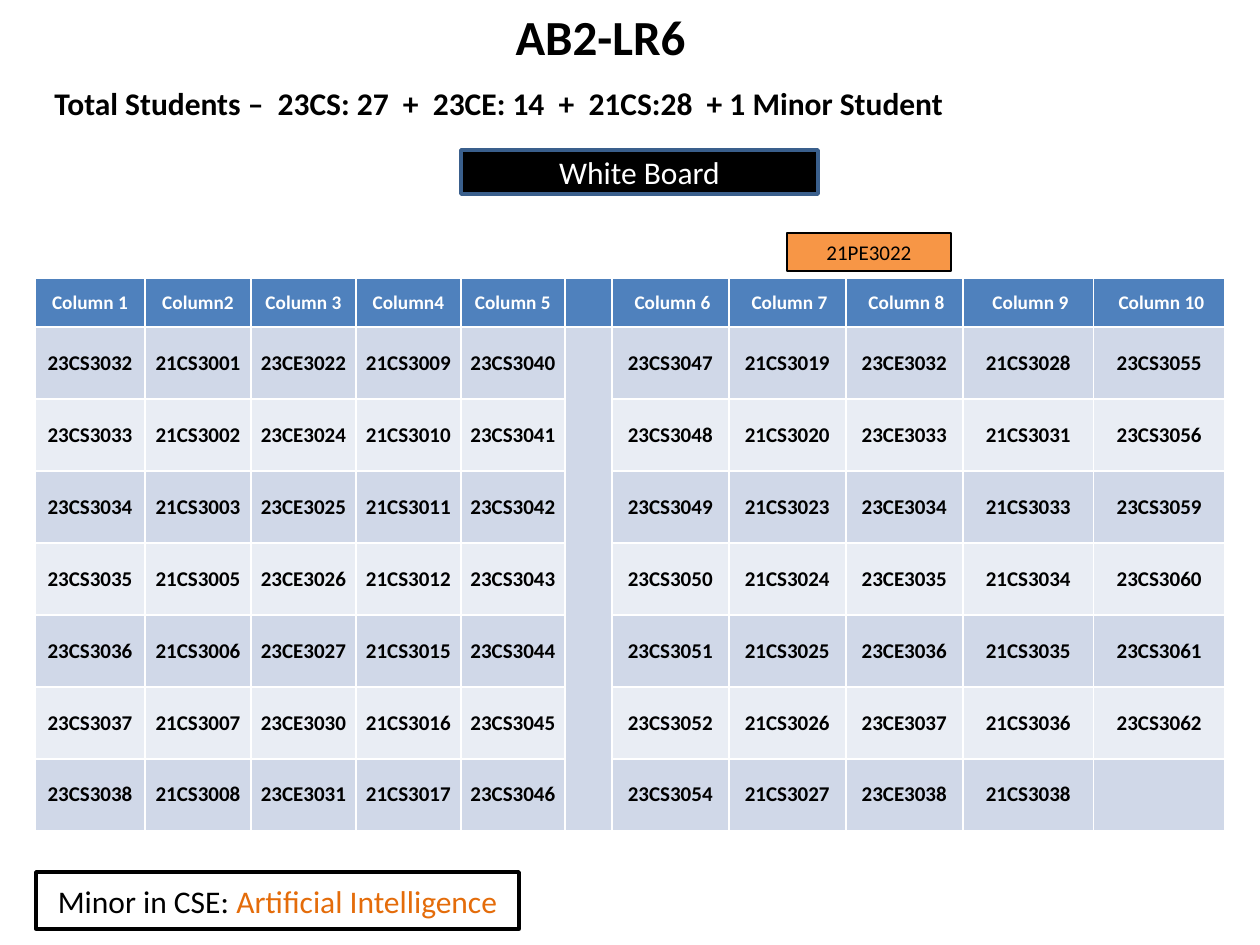
from pptx import Presentation
from pptx.dml.color import RGBColor
from pptx.enum.shapes import MSO_SHAPE
from pptx.enum.text import MSO_ANCHOR, PP_ALIGN
from pptx.util import Emu, Pt

RECT = MSO_SHAPE.RECTANGLE
TOP, MIDDLE = MSO_ANCHOR.TOP, MSO_ANCHOR.MIDDLE
LEFT, CENTER = PP_ALIGN.LEFT, PP_ALIGN.CENTER

BLACK = RGBColor(0x00, 0x00, 0x00)
WHITE = RGBColor(0xFF, 0xFF, 0xFF)
NAVY = RGBColor(0x3A, 0x5F, 0x8C)
BLUE = RGBColor(0x4F, 0x81, 0xBD)
BAND_DARK = RGBColor(0xD0, 0xD8, 0xE8)
BAND_LIGHT = RGBColor(0xE9, 0xED, 0xF4)
ORANGE = RGBColor(0xF7, 0x96, 0x46)
DARK_ORANGE = RGBColor(0xE4, 0x6C, 0x0A)


def px(v):
    return Emu(round(v * 914400 / 126))


def write(tf, runs, size, bold=False, align=CENTER, anchor=MIDDLE):
    tf.word_wrap = True
    tf.vertical_anchor = anchor
    p = tf.paragraphs[0]
    p.alignment = align
    for text, color in runs:
        r = p.add_run()
        r.text = text
        r.font.name = "Calibri"
        r.font.size = Pt(size)
        r.font.bold = bold
        r.font.color.rgb = color


prs = Presentation()
prs.slide_width, prs.slide_height = px(1260), px(945)
s = prs.slides.add_slide(prs.slide_layouts[5])

# Title and student totals
title = s.shapes.title
title.left, title.top, title.width, title.height = px(-23), px(0), px(1247), px(72)
write(title.text_frame, [("AB2-LR6", BLACK)], 28, True, anchor=TOP)

totals = s.shapes.add_textbox(px(35), px(78), px(942), px(50))
write(totals.text_frame,
      [(" Total Students –  23CS: 27  +  23CE: 14  +  21CS:28  + 1 Minor Student", BLACK)],
      18, True, LEFT, TOP)

# Board, legend and single seat: box, fill, line, line width, text size, runs
boxes = [
    ((461, 150, 357, 44), BLACK, NAVY, 2, 18, [("White Board", WHITE)]),
    ((36, 872, 483, 57), WHITE, BLACK, 2, 18,
     [("Minor in CSE: ", BLACK), ("Artificial Intelligence", DARK_ORANGE)]),
    ((787, 233, 164, 38), ORANGE, BLACK, 0.75, 12, [("21PE3022", BLACK)]),
]
for box, fill, line, width, size, runs in boxes:
    sp = s.shapes.add_shape(RECT, *[px(v) for v in box])
    sp.shadow.inherit = False
    sp.fill.solid()
    sp.fill.fore_color.rgb = fill
    sp.line.color.rgb = line
    sp.line.width = Pt(width)
    write(sp.text_frame, runs, size)

# Seating plan: header, roll number prefix, last two digits from front to back
seats = [
    ("Column 1", "23CS30", "32 33 34 35 36 37 38"),
    ("Column2", "21CS30", "01 02 03 05 06 07 08"),
    ("Column 3", "23CE30", "22 24 25 26 27 30 31"),
    ("Column4", "21CS30", "09 10 11 12 15 16 17"),
    ("Column 5", "23CS30", "40 41 42 43 44 45 46"),
    ("", "", ""),
    (" Column 6", "23CS30", "47 48 49 50 51 52 54"),
    (" Column 7", "21CS30", "19 20 23 24 25 26 27"),
    (" Column 8", "23CE30", "32 33 34 35 36 37 38"),
    (" Column 9", "21CS30", "28 31 33 34 35 36 38"),
    (" Column 10", "23CS30", "55 56 59 60 61 62"),
]
col_widths = [110, 106, 105, 105, 104, 47, 117, 117, 117, 131, 131]
row_heights = [49] + [72] * 7
AISLE = 5

tbl = s.shapes.add_table(len(row_heights), len(col_widths), px(35), px(278),
                         px(sum(col_widths)), px(sum(row_heights))).table
for row, height in zip(tbl.rows, row_heights):
    row.height = px(height)
for c, (header, prefix, numbers) in enumerate(seats):
    tbl.columns[c].width = px(col_widths[c])
    texts = [header] + [prefix + n for n in numbers.split()]
    for r in range(len(row_heights)):
        cell = tbl.cell(r, c)
        cell.fill.solid()
        cell.fill.fore_color.rgb = BLUE if r == 0 else BAND_DARK if r % 2 else BAND_LIGHT
        cell.vertical_anchor = MIDDLE
        cell.margin_top = cell.margin_bottom = 0
        if r > 0:
            cell.margin_left = cell.margin_right = px(4)
        if r < len(texts) and texts[r]:
            p = cell.text_frame.paragraphs[0]
            p.text = texts[r]
            p.alignment = CENTER
            font = p.runs[0].font
            font.name = "Calibri"
            font.size = Pt(12 if r else 11)
            font.bold = True
            font.color.rgb = BLACK if r else WHITE
tbl.cell(1, AISLE).merge(tbl.cell(len(row_heights) - 1, AISLE))

prs.save("out.pptx")
